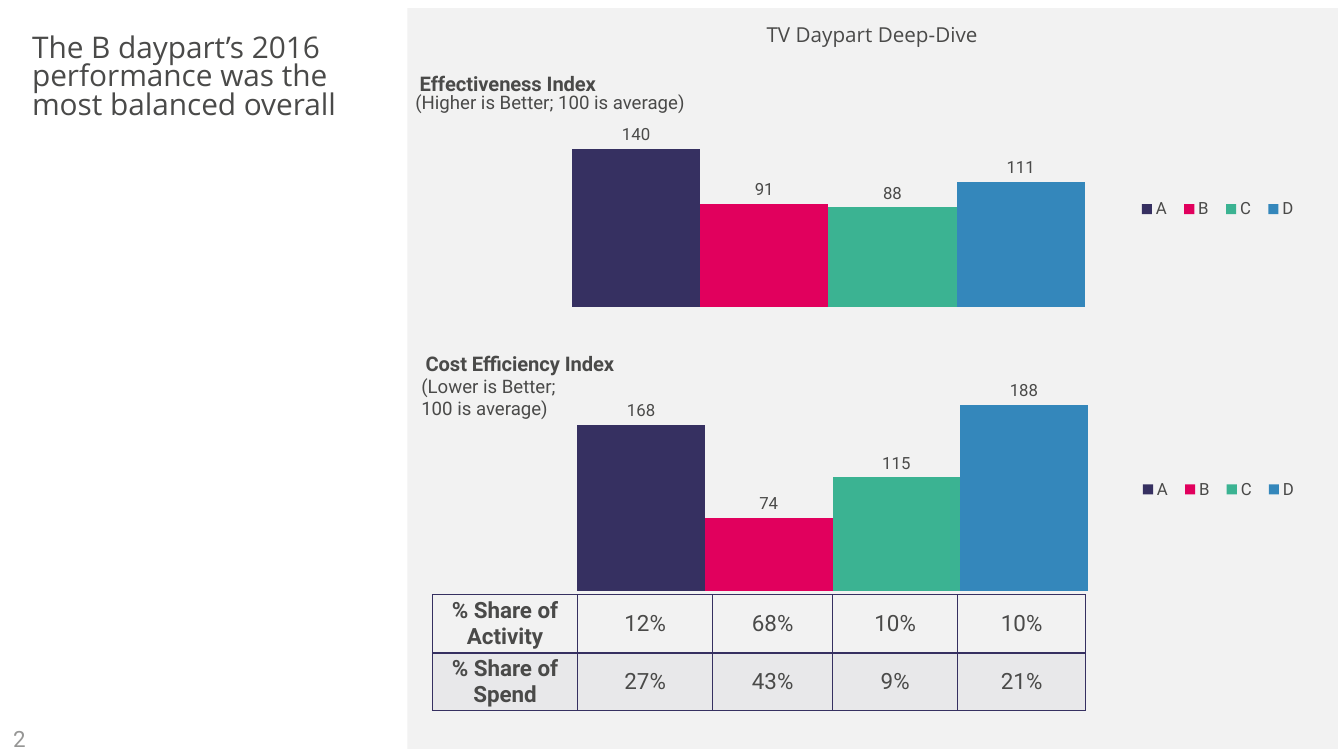
from lxml import etree
from pptx import Presentation
from pptx.chart.data import CategoryChartData
from pptx.dml.color import RGBColor
from pptx.enum.chart import XL_CHART_TYPE, XL_LABEL_POSITION, XL_LEGEND_POSITION
from pptx.enum.shapes import MSO_SHAPE
from pptx.enum.text import MSO_ANCHOR, PP_ALIGN
from pptx.oxml.ns import qn
from pptx.util import Inches, Pt

COLUMN = XL_CHART_TYPE.COLUMN_CLUSTERED
OUT = XL_LABEL_POSITION.OUTSIDE_END
RIGHT = XL_LEGEND_POSITION.RIGHT
RECT = MSO_SHAPE.RECTANGLE
TOP, MID = MSO_ANCHOR.TOP, MSO_ANCHOR.MIDDLE
LEFT, MIDST = PP_ALIGN.LEFT, PP_ALIGN.CENTER

HUES = {"ink": "4A4A49", "gray": "969695", "panel": "F2F2F2", "band": "E8E8EA",
        "A": "363061", "B": "E1005D", "C": "3BB392", "D": "3487BB"}
HUES = {key: RGBColor.from_string(hue) for key, hue in HUES.items()}
WIDE, HIGH = Inches(13.33), Inches(7.5)


def share(x, y, w, h):
    return [int(part * side / 100)
            for part, side in zip((x, y, w, h), (WIDE, HIGH, WIDE, HIGH))]


def style(font, size, face="Roboto", bold=False, hue="ink"):
    look = {"size": Pt(size), "name": face, "bold": bold}
    for key, val in look.items():
        setattr(font, key, val)
    font.color.rgb = HUES[hue]


deck = Presentation()
deck.slide_width, deck.slide_height = WIDE, HIGH
slide = deck.slides.add_slide(deck.slide_layouts[6])
shapes = slide.shapes

panel = shapes.add_shape(RECT, *share(30.31, 1.07, 69.24, 98))
panel.shadow.inherit = False
panel.fill.solid()
panel.fill.fore_color.rgb = HUES["panel"]
panel.line.fill.background()

charts = [
    ("Effectiveness Index", (30.61, 7.73, 68.57, 35.6), (140, 91, 88, 111), 160,
     (0.022, 0.252, 0.861, 0.671)),
    ("Cost Efficiency Index", (31.06, 44.8, 68.12, 35.6), (168, 74, 115, 188), 200,
     (0.022, 0.202, 0.863, 0.737)),
]
for name, box, vals, peak, plot in charts:
    data = CategoryChartData(number_format="#,##0")
    data.categories = ["1"]
    for key, val in zip("ABCD", vals):
        data.add_series(key, [val])
    chart = shapes.add_chart(COLUMN, *share(*box), data).chart
    style(chart.font, 12)
    chart.has_title = chart.has_legend = True
    frame = chart.chart_title.text_frame
    frame.text = name
    style(frame.paragraphs[0].runs[0].font, 14.4, bold=True)
    chart.legend.position = RIGHT
    chart.legend.include_in_layout = False
    style(chart.legend.font, 12)
    chart.category_axis.visible = False
    scale = {"visible": False, "has_major_gridlines": False,
             "minimum_scale": 0, "maximum_scale": peak}
    for key, val in scale.items():
        setattr(chart.value_axis, key, val)
    bars = chart.plots[0]
    for key, val in {"gap_width": 219, "overlap": 0, "vary_by_categories": False}.items():
        setattr(bars, key, val)
    for row in bars.series:
        row.format.fill.solid()
        row.format.fill.fore_color.rgb = HUES[row.name]
        marks = {"show_value": True, "number_format": "#,##0",
                 "number_format_is_linked": False, "position": OUT}
        for key, val in marks.items():
            setattr(row.data_labels, key, val)
        style(row.data_labels.font, 12)
    root = chart.element
    places = [("c:title", 1, (0.005, 0.03)),
              ("c:plotArea", 0, plot),
              ("c:legend", 1, (0.78, 0.51, 0.19, 0.1))]
    for tag, spot, nums in places:
        host = root.find(".//" + qn(tag))
        for old in host.findall(qn("c:layout")):
            host.remove(old)
        layout = etree.Element(qn("c:layout"))
        host.insert(spot, layout)
        hand = etree.SubElement(layout, qn("c:manualLayout"))
        if tag == "c:plotArea":
            etree.SubElement(hand, qn("c:layoutTarget"), val="inner")
        for key in ("xMode", "yMode"):
            etree.SubElement(hand, qn("c:" + key), val="edge")
        for key, num in zip("xywh", nums):
            etree.SubElement(hand, qn("c:" + key), val=str(num))

texts = [
    ("2", (0, 95.07, 22.5, 5.33), 16, "Roboto", "gray", LEFT, MID, 0.13, 1),
    ("The B daypart’s 2016 performance was the most balanced overall",
     (1.65, 4, 26.33, 15.47), 21.3, "Open Sans", "ink", LEFT, TOP, 0.1, 0.8),
    ("(Lower is Better; 100 is average)",
     (30.61, 48.93, 11.85, 7.33), 13.3, "Roboto", "ink", LEFT, TOP, 0.1, 1),
    ("(Higher is Better; 100 is average)",
     (30.16, 11.33, 24.53, 4.4), 13.3, "Roboto", "ink", LEFT, TOP, 0.1, 1),
    ("TV Daypart Deep-Dive",
     (34.58, 2.27, 60.62, 4.27), 14.7, "Open Sans", "ink", MIDST, TOP, 0.1, 1),
]
for words, box, size, face, hue, side, hold, pad, gap in texts:
    frame = shapes.add_textbox(*share(*box)).text_frame
    look = {"word_wrap": True, "vertical_anchor": hold,
            "margin_left": Inches(pad), "margin_right": Inches(pad)}
    for key, val in look.items():
        setattr(frame, key, val)
    para = frame.paragraphs[0]
    para.alignment, para.line_spacing = side, gap
    run = para.add_run()
    run.text = words
    style(run.font, size, face, hue=hue)

rows = [["% Share of Activity", "12%", "68%", "10%", "10%"],
        ["% Share of\nSpend", "27%", "43%", "9%", "21%"]]
table = shapes.add_table(2, 5, *share(32.18, 78.67, 48.6, 15.33)).table
table.first_row = table.horz_banding = False
for col, part in zip(table.columns, (10.8, 10.05, 8.93, 9.3, 9.53)):
    col.width = int(WIDE * part / 100)
pads = {"margin_left": 0.01, "margin_right": 0.01, "margin_top": 0.01, "margin_bottom": 0}
for r, row in enumerate(rows):
    for c, words in enumerate(row):
        cell = table.cell(r, c)
        cell.text = words
        cell.vertical_anchor = MID
        for key, val in pads.items():
            setattr(cell, key, Inches(val))
        for para in cell.text_frame.paragraphs:
            para.alignment = MIDST
            style(para.runs[0].font, 16, bold=c == 0)
        props = cell._tc.get_or_add_tcPr()
        for edge in "LRTB":
            thick = 1.5 if (r, edge) in ((0, "B"), (1, "T")) else 1
            line = etree.SubElement(props, qn("a:ln" + edge), w=str(Pt(thick)))
            fill = etree.SubElement(line, qn("a:solidFill"))
            etree.SubElement(fill, qn("a:srgbClr"), val=str(HUES["A"]))
        if r:
            cell.fill.solid()
            cell.fill.fore_color.rgb = HUES["band"]
        else:
            cell.fill.background()

deck.save("out.pptx")
